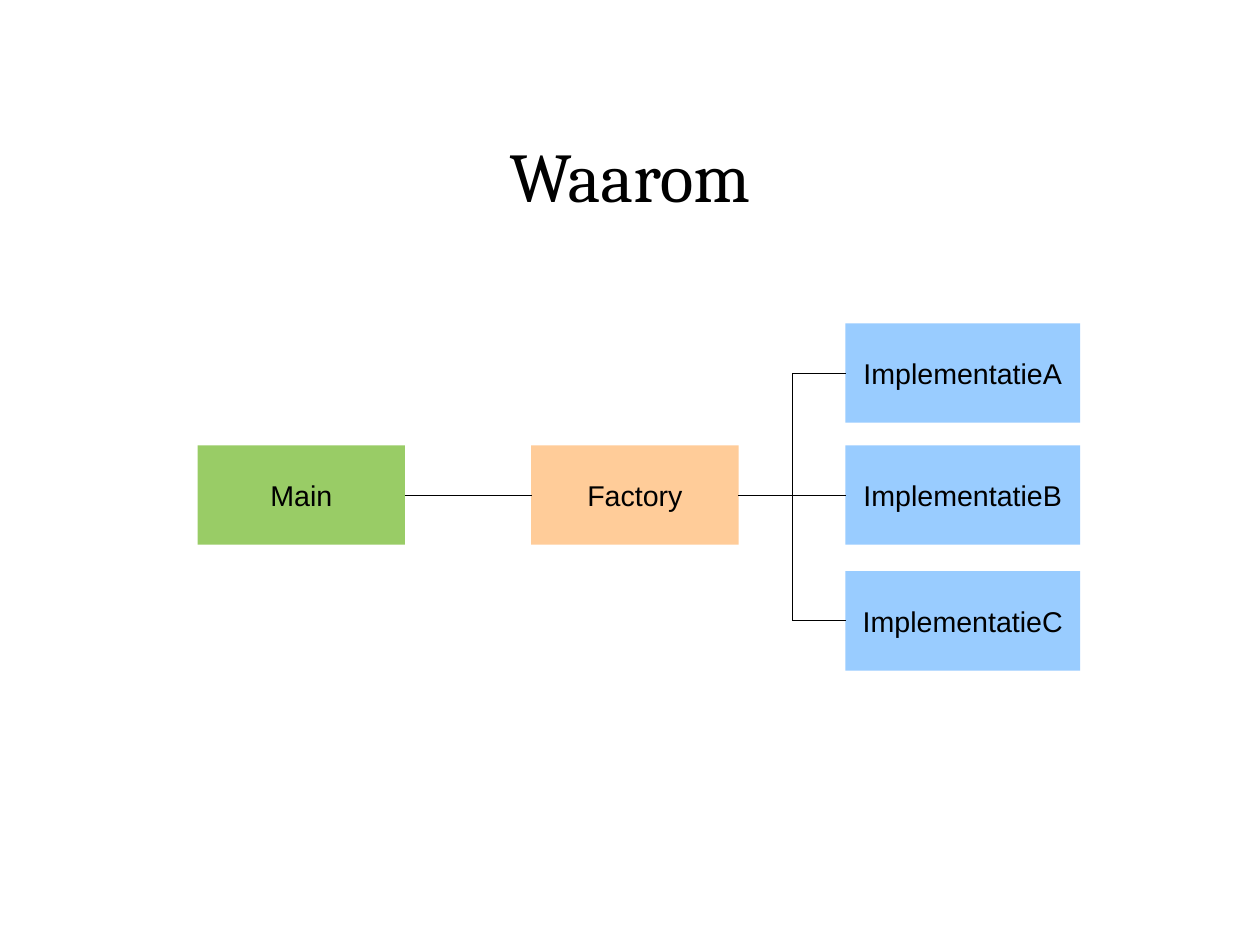
from lxml import etree
from pptx import Presentation
from pptx import util as u
from pptx.dml.color import RGBColor
from pptx.enum import shapes as sh, text as tx
from pptx.oxml.ns import qn

WIDE, HIGH = u.Cm(28), u.Cm(21)
RIGHT, LEFT = 3, 1


def tint(code):
    return RGBColor.from_string(code)


def inch(box):
    return [u.Inches(n) for n in box]


def write(frame, words, size, font):
    frame.vertical_anchor = tx.MSO_ANCHOR.MIDDLE
    par = frame.paragraphs[0]
    par.alignment = tx.PP_ALIGN.CENTER
    run = par.add_run()
    run.text = words
    run.font.size = u.Pt(size)
    run.font.name = font
    run.font.color.rgb = tint("000000")


def title(slide, box, words):
    frame = slide.shapes.add_textbox(*inch(box)).text_frame
    frame.word_wrap = True
    frame.margin_left = frame.margin_right = 0
    frame.margin_top = frame.margin_bottom = 0
    write(frame, words, 44, "Cambria")


def block(slide, box, words, fill):
    node = slide.shapes.add_shape(sh.MSO_SHAPE.RECTANGLE, *inch(box))
    node.shadow.inherit = False
    node.fill.solid()
    node.fill.fore_color.rgb = tint(fill)
    node.line.fill.background()
    node.text_frame.word_wrap = False
    write(node.text_frame, words, 18, "Arial")
    return node


def link(slide, start, end):
    level = start.top == end.top
    kind = sh.MSO_CONNECTOR.STRAIGHT if level else sh.MSO_CONNECTOR.ELBOW
    wire = slide.shapes.add_connector(kind, 0, 0, 0, 0)
    wire.begin_connect(start, RIGHT)
    wire.end_connect(end, LEFT)
    wire.line.color.rgb = tint("000000")
    props = wire._element.spPr
    props.find(qn("a:ln")).set("w", "0")
    etree.SubElement(props, qn("a:effectLst"))


def tree(slide, box):
    left, top, wide, high = box
    col, row = wide / 100, high / 100
    rows = (0, 35.1, 71.3)

    def place(x, level, span, words, fill):
        spot = (left + col * x, top + row * rows[level], col * span, row * 28.6)
        return block(slide, spot, words, fill)

    main = place(0, 1, 23.5, "Main", "99CC66")
    hub = place(37.8, 1, 23.5, "Factory", "FFCC99")
    leaves = [place(73.4, level, 26.6, "Implementatie" + mark, "99CCFF")
              for level, mark in enumerate("ABC")]
    link(slide, main, hub)
    for leaf in leaves:
        link(slide, hub, leaf)


deck = Presentation()
deck.slide_width, deck.slide_height = WIDE, HIGH
slide = deck.slides.add_slide(deck.slide_layouts[6])
title(slide, (WIDE.inches * 0.05, 0.84, WIDE.inches * 0.9, 1.38), "Waarom")
tree(slide, (1.73, 2.83, 7.72, 3.04))
deck.save("out.pptx")
